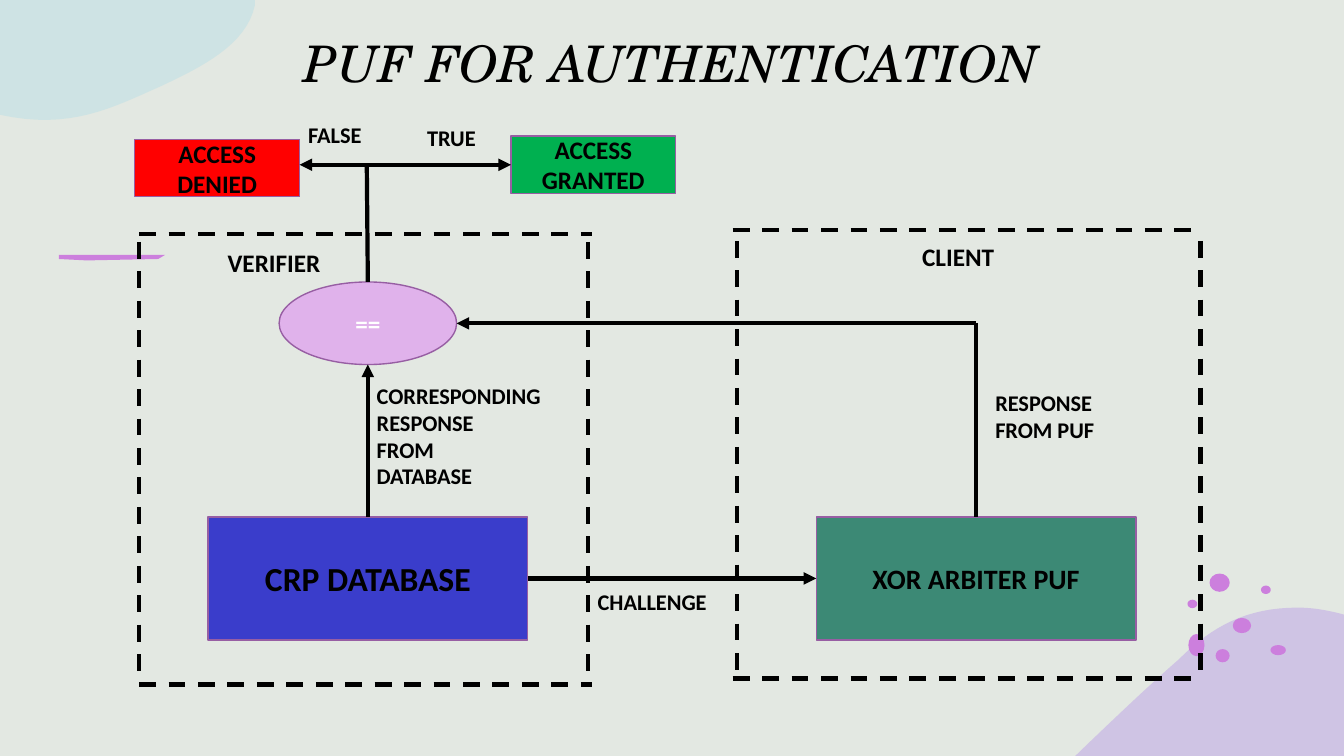
from dataclasses import dataclass
from math import cos, pi, sin

from lxml.etree import SubElement
from pptx import Presentation
from pptx.dml.color import RGBColor
from pptx.enum.dml import MSO_LINE
from pptx.enum.shapes import MSO_CONNECTOR, MSO_SHAPE
from pptx.enum.text import MSO_ANCHOR, MSO_AUTO_SIZE, PP_ALIGN
from pptx.oxml.ns import qn
from pptx.shapes.autoshape import Shape
from pptx.shapes.connector import Connector
from pptx.slide import Slide
from pptx.text.text import TextFrame
from pptx.util import Pt

COLORS = {
    "page": "E3E8E2", "lilac": "BDA1E6", "sky": "BADFE6", "orchid": "CC7FDD",
    "border": "975EA3", "black": "000000", "white": "FFFFFF",
    "database": "3A3DCB", "puf": "3C8975", "compare": "E0B2EB",
    "granted": "00B050", "denied": "FF0000",
}
Point = tuple[float, float]
Box = tuple[float, float, float, float]

PAGE_WIDTH, PAGE_HEIGHT = 960, 540
CURVE_STEPS = 16
SIDE_HEIGHT = 313.2
STORE_SIZE = (228.5, 88)
ACCESS_SIZE = (117.7, 41)
STORE_TOP = 369.2
COMPARE_BOX = (199.35, 201.4, 126.8, 59)
VERIFIER_X, PUF_X = 262.75, 697.25
COMPARE_Y, ACCESS_Y = 231, 117.7


@dataclass
class Blob:
    """Outline whose segments are lines (x, y) or cubic curves (two controls, end)."""
    color: str
    start: Point
    segments: list[tuple[float, ...]]


@dataclass
class Node:
    text: str
    box: Box
    fill: str
    size: int = 18
    color: str = "black"
    kind: MSO_SHAPE = MSO_SHAPE.RECTANGLE


@dataclass
class Label:
    text: str
    left: float
    top: float
    size: int = 16
    width: float = 242


@dataclass
class Frame:
    """Dashed border whose sides and edges do not quite meet."""
    sides: Point
    edges: Point
    span: Point
    side_top: float


@dataclass
class Link:
    """Flow line; a join is a node text and a connection site."""
    start: Point
    end: Point
    arrow: bool = True
    start_join: tuple[str, int] | None = None
    end_join: tuple[str, int] | None = None


BLOBS = [
    Blob("lilac", (768, PAGE_HEIGHT), [
        (793, 516, 818, 492, 842, 471), (866, 447, 891, 434, 927, 434),
        (938, 434, 949, 436, PAGE_WIDTH, 439), (PAGE_WIDTH, PAGE_HEIGHT)]),
    Blob("sky", (0, 0), [
        (182, 0), (182, 4), (176, 32, 144, 48, 114, 62), (80, 77, 50, 93, 0, 82)]),
]
STROKE = [(42, 182), (118, 182), (113, 185), (62, 186), (42, 185)]
DOTS = [
    (868.3, 463.7, 10, 9.4), (848.9, 452.9, 11.5, 15.8), (907.5, 460.8, 11, 7.2),
    (864, 409.7, 14.4, 13), (900.7, 418.3, 7, 6), (848.2, 428.4, 7, 6),
    (880.6, 441.4, 13, 10.8),
]

NODES = [
    Node("CRP DATABASE", (148.5, STORE_TOP, *STORE_SIZE), "database", 24),
    Node("XOR ARBITER PUF", (583, STORE_TOP, *STORE_SIZE), "puf", 20),
    Node("==", COMPARE_BOX, "compare", 18, "white", MSO_SHAPE.OVAL),
    Node("ACCESS GRANTED", (365, 97.2, *ACCESS_SIZE), "granted"),
    Node("ACCESS DENIED", (96.3, 99.6, *ACCESS_SIZE), "denied"),
]

LABELS = [
    Label("CHALLENGE", 419.8, 416.2),
    Label("RESPONSE\nFROM PUF", 703.8, 274.3),
    Label("CORRESPONDING\nRESPONSE\nFROM\nDATABASE", 262, 269.3),
    Label("VERIFIER", 155.5, 172.8, 18, 189.4),
    Label("CLIENT", 651.6, 168.8, 18, 189.4),
    Label("TRUE", 298, 85, width=121),
    Label("FALSE", 213, 82.8, width=121),
]

FRAMES = [
    Frame((99.4, 419.8), (167, 489), (99.4, 422.6), 172.8),
    Frame((526.3, 857.5), (164.5, 484.6), (523.4, 857.5), 172),
]

STORE_MIDDLE = STORE_TOP + STORE_SIZE[1] / 2
COMPARE_RIGHT = COMPARE_BOX[0] + COMPARE_BOX[2]
COMPARE_BOTTOM = COMPARE_BOX[1] + COMPARE_BOX[3]
LINKS = [
    Link((377, STORE_MIDDLE), (583, STORE_MIDDLE), True, ("CRP DATABASE", 3), ("XOR ARBITER PUF", 1)),
    Link((PUF_X, COMPARE_Y), (COMPARE_RIGHT, COMPARE_Y)),
    Link((PUF_X, STORE_TOP), (PUF_X, COMPARE_Y), False, ("XOR ARBITER PUF", 0)),
    Link((VERIFIER_X, STORE_TOP), (VERIFIER_X, COMPARE_BOTTOM), True, ("CRP DATABASE", 0)),
    Link((262, ACCESS_Y), (365, ACCESS_Y), True, None, ("ACCESS GRANTED", 1)),
    Link((VERIFIER_X, COMPARE_BOX[1]), (262, 116.6), False),
    Link((262, ACCESS_Y), (214, ACCESS_Y)),
]


def rgb(name: str) -> RGBColor:
    return RGBColor.from_string(COLORS[name])


def flatten(blob: Blob) -> list[Point]:
    """Turn the lines and curves of a blob into polygon points."""
    points = [blob.start]
    for *controls, x, y in blob.segments:
        if not controls:
            points.append((x, y))
            continue
        curve = [points[-1], tuple(controls[:2]), tuple(controls[2:]), (x, y)]
        for step in range(1, CURVE_STEPS + 1):
            t = step / CURVE_STEPS
            weights = ((1 - t) ** 3, 3 * t * (1 - t) ** 2, 3 * t * t * (1 - t), t ** 3)
            points.append(tuple(sum(w * p[axis] for w, p in zip(weights, curve)) for axis in (0, 1)))
    return points


def round_outline(box: Box) -> list[Point]:
    left, top, width, height = box
    angles = [2 * pi * step / CURVE_STEPS for step in range(CURVE_STEPS)]
    return [(left + width * (1 + cos(a)) / 2, top + height * (1 + sin(a)) / 2) for a in angles]


def draw_outline(page: Slide, outline: list[Point], color: str) -> Shape:
    points = [(Pt(x), Pt(y)) for x, y in outline]
    builder = page.shapes.build_freeform(*points[0])
    builder.add_line_segments(points[1:], close=True)
    shape = builder.convert_to_shape()
    shape.shadow.inherit = False
    shape.fill.solid()
    shape.fill.fore_color.rgb = rgb(color)
    shape.line.fill.background()
    return shape


def draw_blob(page: Slide, blob: Blob) -> None:
    shape = draw_outline(page, flatten(blob), blob.color)
    color = shape._element.spPr.find(".//" + qn("a:srgbClr"))
    SubElement(color, qn("a:alpha"), val="50000")


def style_text(frame: TextFrame, size: int, align: PP_ALIGN, color: str = "black") -> None:
    frame.word_wrap = True
    for para in frame.paragraphs:
        para.alignment = align
        para.font.name, para.font.size, para.font.bold = "Calibri", Pt(size), True
        para.font.color.rgb = rgb(color)


def draw_node(page: Slide, node: Node) -> Shape:
    shape = page.shapes.add_shape(node.kind, *map(Pt, node.box))
    shape.shadow.inherit = False
    shape.fill.solid()
    shape.fill.fore_color.rgb = rgb(node.fill)
    shape.line.color.rgb, shape.line.width = rgb("border"), Pt(1)
    shape.text_frame.text = node.text
    shape.text_frame.vertical_anchor = MSO_ANCHOR.MIDDLE
    style_text(shape.text_frame, node.size, PP_ALIGN.CENTER, node.color)
    return shape


def draw_label(page: Slide, label: Label) -> None:
    height = 7.2 + 1.2 * label.size * len(label.text.splitlines())
    frame = page.shapes.add_textbox(*map(Pt, (label.left, label.top, label.width, height))).text_frame
    frame.text = label.text
    style_text(frame, label.size, PP_ALIGN.LEFT)
    frame.auto_size = MSO_AUTO_SIZE.SHAPE_TO_FIT_TEXT


def draw_line(page: Slide, start: Point, end: Point) -> Connector:
    line = page.shapes.add_connector(MSO_CONNECTOR.STRAIGHT, *map(Pt, start + end))
    line.line.color.rgb, line.line.width = rgb("black"), Pt(3)
    SubElement(line._element.spPr, qn("a:effectLst"))
    return line


def draw_frame(page: Slide, frame: Frame) -> None:
    left, right = frame.span
    ends = [((x, frame.side_top), (x, frame.side_top + SIDE_HEIGHT)) for x in frame.sides]
    ends += [((left, y), (right, y)) for y in frame.edges]
    for start, end in ends:
        draw_line(page, start, end).line.dash_style = MSO_LINE.DASH


def draw_link(page: Slide, link: Link, shapes: dict[str, Shape]) -> None:
    line = draw_line(page, link.start, link.end)
    for join, connect in ((link.start_join, line.begin_connect), (link.end_join, line.end_connect)):
        if join:
            connect(shapes[join[0]], join[1])
    if link.arrow:
        SubElement(line._element.spPr.find(qn("a:ln")), qn("a:tailEnd"), type="triangle")


def draw_title(page: Slide) -> None:
    frame = page.shapes.add_textbox(Pt(49), Pt(10.8), Pt(861), Pt(59)).text_frame
    frame.word_wrap = True
    frame.vertical_anchor = MSO_ANCHOR.BOTTOM
    para = frame.paragraphs[0]
    para.text, para.alignment = "PUF FOR AUTHENTICATION", PP_ALIGN.CENTER
    para.font.name, para.font.size, para.font.italic = "TeX Gyre Schola", Pt(36), True
    para.font.color.rgb = rgb("black")


def main() -> None:
    deck = Presentation()
    deck.slide_width, deck.slide_height = Pt(PAGE_WIDTH), Pt(PAGE_HEIGHT)
    page = deck.slides.add_slide(deck.slide_layouts[6])
    page.background.fill.solid()
    page.background.fill.fore_color.rgb = rgb("page")
    for blob in BLOBS:
        draw_blob(page, blob)
    for outline in [STROKE, *map(round_outline, DOTS)]:
        draw_outline(page, outline, "orchid")
    draw_title(page)
    shapes = {node.text: draw_node(page, node) for node in NODES}
    for frame in FRAMES:
        draw_frame(page, frame)
    for link in LINKS:
        draw_link(page, link, shapes)
    for label in LABELS:
        draw_label(page, label)
    deck.save("out.pptx")


if __name__ == "__main__":
    main()
